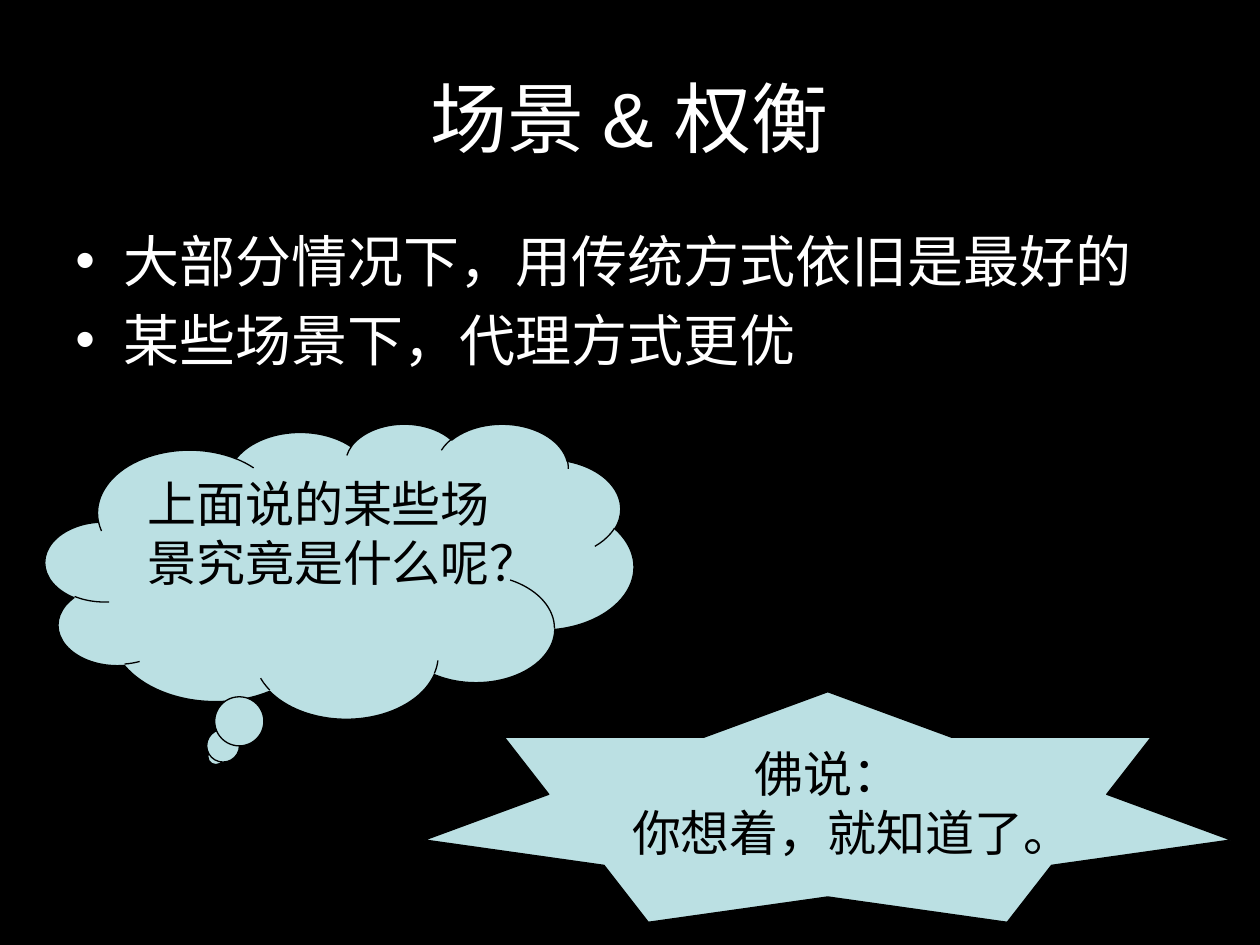
from pptx import Presentation, util as u
from pptx.dml.color import RGBColor
from pptx.enum import shapes, text
from pptx.oxml.ns import qn
from lxml import etree

WIDTH, HEIGHT = 10, 7.5
BLACK, WHITE, PALE_BLUE = "000000", "FFFFFF", "BBE0E3"


def colour(code):
    return RGBColor.from_string(code)


def place(left, top, width, height):
    """Turn a box in inches into slide lengths."""
    return [u.Inches(value) for value in (left, top, width, height)]


def write(shape, lines, size, ink, anchor, **para_format):
    frame = shape.text_frame
    frame.word_wrap = True
    frame.vertical_anchor = anchor
    for index, line in enumerate(lines):
        para = frame.paragraphs[0] if index == 0 else frame.add_paragraph()
        for name, value in para_format.items():
            setattr(para, name, value)
        span = para.add_run()
        span.text = line
        for name, value in {"name": "Arial", "size": u.Pt(size)}.items():
            setattr(span.font, name, value)
        span.font.color.rgb = colour(ink)
    return frame


def add_title(page, box, line):
    shape = page.shapes.add_textbox(*place(*box))
    write(shape, [line], 44, WHITE, text.MSO_ANCHOR.MIDDLE,
          alignment=text.PP_ALIGN.CENTER)


def add_bullets(page, box, lines):
    size = 32
    shape = page.shapes.add_textbox(*place(*box))
    frame = write(shape, lines, size, WHITE, text.MSO_ANCHOR.TOP,
                  alignment=text.PP_ALIGN.LEFT, space_before=u.Pt(size * 0.2))
    indent = u.Inches(0.38)
    for para in frame.paragraphs:
        props = para._p.get_or_add_pPr()
        props.set("marL", str(indent))
        props.set("indent", str(-indent))
        etree.SubElement(props, qn("a:buFont"), typeface="Arial")
        etree.SubElement(props, qn("a:buChar"), char="•")


def add_remark(page, box, kind, lines, tail=()):
    shape = page.shapes.add_shape(kind, *place(*box))
    shape.shadow.inherit = False
    shape.fill.solid()
    shape.fill.fore_color.rgb = colour(PALE_BLUE)
    shape.line.color.rgb = colour(BLACK)
    shape.line.width = u.Pt(0.75)
    for index, share in enumerate(tail):
        shape.adjustments[index] = share
    write(shape, lines, 28, BLACK, text.MSO_ANCHOR.TOP,
          alignment=text.PP_ALIGN.CENTER)


def main():
    deck = Presentation()
    deck.slide_width, deck.slide_height = u.Inches(WIDTH), u.Inches(HEIGHT)
    page = deck.slides.add_slide(deck.slide_layouts[6])
    page.background.fill.solid()
    page.background.fill.fore_color.rgb = colour(BLACK)

    # Heading and points share the same side margins
    margin = WIDTH * 0.05
    column = WIDTH - 2 * margin
    add_title(page, (margin, 0.3, column, 1.25), "场景 & 权衡")
    add_bullets(page, (margin, 1.75, column, 5.58),
                ["大部分情况下，用传统方式依旧是最好的", "某些场景下，代理方式更优"])

    # Question in a thought cloud, answer in a star
    add_remark(page, (0.36, 3.36, 4.67, 2.34), shapes.MSO_SHAPE.CLOUD_CALLOUT,
               ["上面说的某些场景究竟是什么呢？"], tail=(-0.21, 0.63))
    add_remark(page, (3.37, 5.49, 6.4, 1.83), shapes.MSO_SHAPE.STAR_7_POINT,
               ["佛说：", "你想着，就知道了。"])

    deck.save("out.pptx")


if __name__ == "__main__":
    main()
